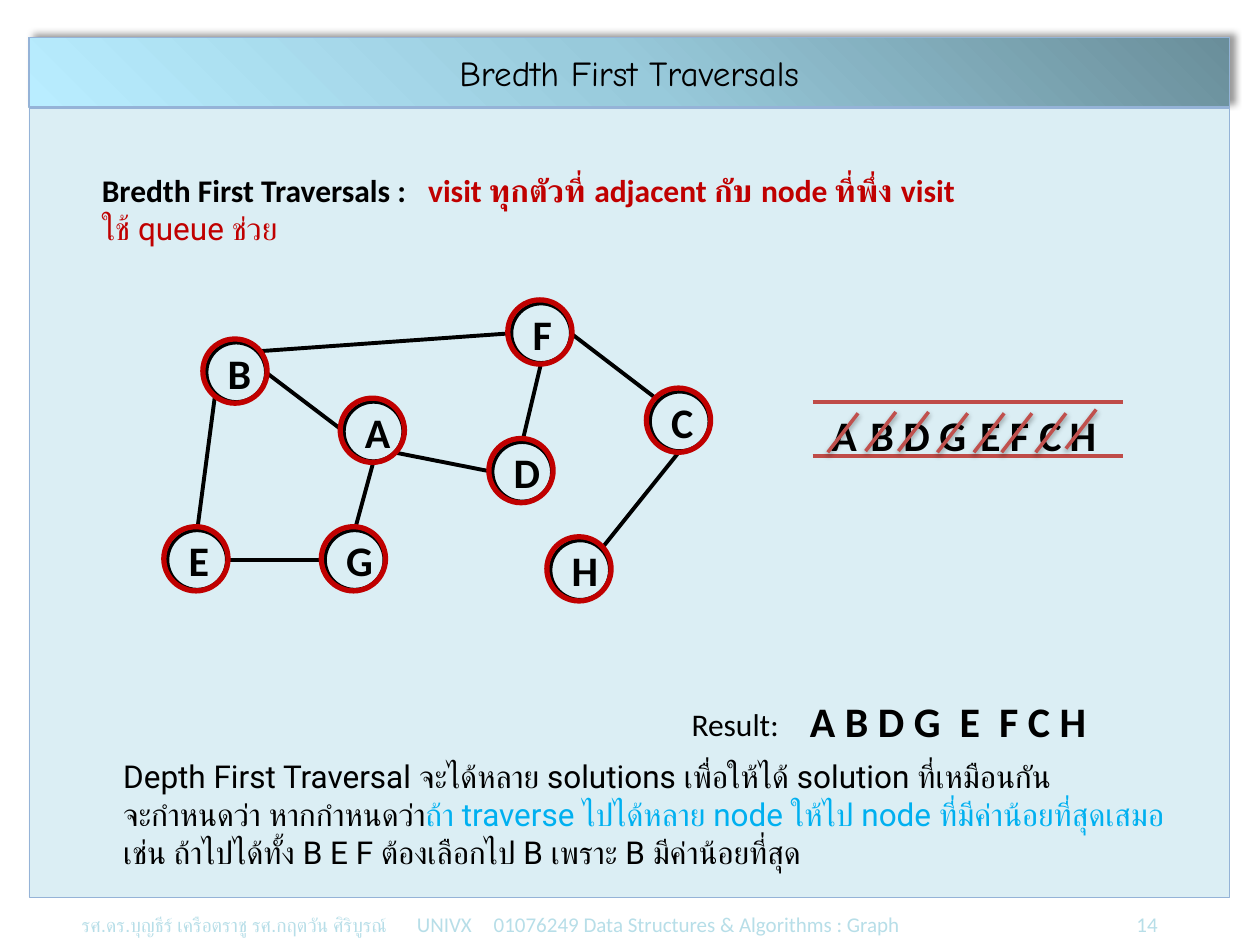
from copy import deepcopy
from math import cos, radians, sin

from lxml.etree import SubElement
from pptx import Presentation
from pptx.dml.color import RGBColor
from pptx.enum.shapes import MSO_CONNECTOR, MSO_SHAPE
from pptx.enum.text import MSO_ANCHOR, MSO_AUTO_SIZE, PP_ALIGN
from pptx.oxml.ns import qn
from pptx.util import Inches, Pt

BLACK, RED, SKY, PALE, STRIKE = "000000", "C00000", "00B0F0", "B7DEE8", "C0504D"
TITLE = "Bredth First Traversals"
TITLE_GRADIENT = [(0, "6A8E9A"), (0.5, "98CADB"), (1, "B9EDFF")]

NODE_SIZE, RING_SIZE, RING_OFFSET = 0.47, 0.51, -0.03
NODES = {
    "A": (2.73, 3.19), "G": (2.58, 4.21), "B": (1.64, 2.72), "E": (1.33, 4.21),
    "C": (5.16, 3.11), "H": (4.37, 4.29), "F": (4.06, 2.41), "D": (3.91, 3.51),
}
ANGLES = {"right": 0, "lower right": 45, "bottom": 90, "lower left": 135,
          "left": 180, "upper left": 225, "top": 270, "upper right": 315}
EDGES = [
    ("E", "top", "B", "lower left"), ("E", "right", "G", "left"),
    ("G", "top", "A", "bottom"), ("B", "right", "A", "left"),
    ("B", "upper right", "F", "left"), ("F", "right", "C", "upper left"),
    ("H", "upper right", "C", "bottom"), ("D", "top", "F", "bottom"),
    ("A", "lower right", "D", "left"),
]

QUEUE_RAILS = [3.19, 3.62]
QUEUE_TEXTS = [("A", 6.5, 0.48), ("B D G", 6.81, 0.97), ("E F", 7.68, 0.6),
               ("C", 8.15, 0.38), ("H", 8.39, 0.41)]
STRIKES = [(6.81, 3.28), (7.11, 3.27), (7.37, 3.27), (7.68, 3.28),
           (7.97, 3.28), (8.19, 3.28), (8.46, 3.28), (8.7, 3.25)]
STRIKE_RUN, STRIKE_DROP = -0.24, 0.31

HEADING = [
    [("Bredth First Traversals :\t", {"bold": True}),
     ("visit ทุกตัวที่ adjacent กับ node ที่พึ่ง visit", {"bold": True, "color": RED})],
    [("ใช้ queue ช่วย", {"font": "Roboto", "color": RED})],
]
NOTE = [
    [("Depth First Traversal จะได้หลาย solutions เพื่อให้ได้ solution ที่เหมือนกัน", {"font": "Roboto"})],
    [("จะกำหนดว่า หากกำหนดว่า", {"font": "Roboto"}),
     ("ถ้า traverse ไปได้หลาย node ให้ไป node ที่มีค่าน้อยที่สุดเสมอ ", {"font": "Roboto", "color": SKY}),
     ("เช่น ถ้าไปได้ทั้ง B E F ต้องเลือกไป B เพราะ B มีค่าน้อยที่สุด", {"font": "Roboto"})],
]
FOOTER = [[
    ("รศ.ดร.บุญธีร์ เครือตราชู รศ.กฤตวัน ศิริบูรณ์", {"size": 11, "font": "Arial", "color": PALE}),
    ("\tUNIVX\t01076249 Data Structures & Algorithms : Graph", {"size": 12, "color": PALE}),
    ("\t", {"size": 16, "color": PALE}),
    ("14", {"size": 12, "color": PALE}),
]]
LETTERS = {"size": 24, "bold": True}


def rgb(value):
    """Turn a hex string into a colour."""
    return RGBColor.from_string(value)


def add_run(paragraph, text, size=18, font="Calibri", color=BLACK, bold=False):
    """Append a formatted run to a paragraph."""
    run = paragraph.add_run()
    run.text = text
    run.font.size, run.font.name, run.font.bold = Pt(size), font, bold
    run.font.color.rgb = rgb(color)


def add_text(slide, place, paragraphs, wrap=True, tabs=()):
    """Add a text box holding paragraphs of (text, format) runs."""
    box = slide.shapes.add_textbox(*map(Inches, place))
    frame = box.text_frame
    frame.word_wrap = wrap
    frame.auto_size = MSO_AUTO_SIZE.SHAPE_TO_FIT_TEXT
    for index, runs in enumerate(paragraphs):
        paragraph = frame.add_paragraph() if index else frame.paragraphs[0]
        if tabs and not index:
            stops = SubElement(paragraph._p.get_or_add_pPr(), qn("a:tabLst"))
            for position, align in tabs:
                SubElement(stops, qn("a:tab"), pos=str(Inches(position)), algn=align)
        for text, style in runs:
            add_run(paragraph, text, **style)


def add_effects(shape, shadow=None):
    """Give a shape its own effect list, with a shadow if one is wanted."""
    effects = SubElement(shape.element.spPr, qn("a:effectLst"))
    if shadow:
        color, alpha, blur, distance, direction = shadow
        outer = SubElement(effects, qn("a:outerShdw"), blurRad=str(Pt(blur)), dist=str(Pt(distance)),
                           dir=str(direction * 60000), algn="ctr", rotWithShape="0")
        tint = SubElement(outer, qn("a:srgbClr"), val=color)
        SubElement(tint, qn("a:alpha"), val=str(alpha * 1000))


def add_line(slide, start, end, color, width, shadow=None):
    """Add a straight line between two points."""
    line = slide.shapes.add_connector(MSO_CONNECTOR.STRAIGHT, *map(Inches, (*start, *end)))
    line.line.color.rgb, line.line.width = rgb(color), Pt(width)
    add_effects(line, shadow)


def add_outline(slide, kind, place, color, width, fill=None):
    """Add a preset shape, hollow unless a fill is given."""
    shape = slide.shapes.add_shape(kind, *map(Inches, place))
    shape.shadow.inherit = False
    if fill:
        shape.fill.solid()
        shape.fill.fore_color.rgb = rgb(fill)
    else:
        shape.fill.background()
    shape.line.color.rgb, shape.line.width = rgb(color), Pt(width)
    return shape


def format_title(title):
    """Place the title bar and give it its gradient and shadow."""
    title.left, title.top, title.width, title.height = map(Inches, (0.23, 0.3, 9.53, 0.55))
    title.fill.gradient()
    title.fill.gradient_angle = 225
    stops = title.element.spPr.find(".//" + qn("a:gsLst"))
    stops.append(deepcopy(stops[0]))
    for stop, (position, color) in zip(title.fill.gradient_stops, TITLE_GRADIENT):
        stop.position, stop.color.rgb = position, rgb(color)
    title.line.color.rgb, title.line.width = rgb("95B3D7"), Pt(0.75)
    add_effects(title, (BLACK, 40, 4, 3, 315))
    title.text_frame.vertical_anchor = MSO_ANCHOR.MIDDLE
    paragraph = title.text_frame.paragraphs[0]
    paragraph.alignment = PP_ALIGN.CENTER
    add_run(paragraph, TITLE, size=20, font="Comic Neue")


def rim_point(node, side):
    """Find the point on a node's rim at a named side."""
    radius, angle = NODE_SIZE / 2, radians(ANGLES[side])
    left, top = NODES[node]
    return left + radius * (1 + cos(angle)), top + radius * (1 + sin(angle))


def add_graph(slide):
    """Draw the nodes, their edges and the rings of visited nodes."""
    for letter, (left, top) in NODES.items():
        node = add_outline(slide, MSO_SHAPE.OVAL, (left, top, NODE_SIZE, NODE_SIZE), BLACK, 2)
        node.text_frame.vertical_anchor = MSO_ANCHOR.MIDDLE
        paragraph = node.text_frame.paragraphs[0]
        paragraph.alignment = PP_ALIGN.CENTER
        add_run(paragraph, letter, **LETTERS)
    for first, first_side, second, second_side in EDGES:
        add_line(slide, rim_point(first, first_side), rim_point(second, second_side), BLACK, 2.25)
    for left, top in NODES.values():
        add_outline(slide, MSO_SHAPE.OVAL,
                    (left + RING_OFFSET, top + RING_OFFSET, RING_SIZE, RING_SIZE), RED, 3)


def add_queue(slide):
    """Draw the queue with its struck-out letters."""
    for height in QUEUE_RAILS:
        add_line(slide, (6.45, height), (8.91, height), "BF4C48", 2.25)
    for letters, left, width in QUEUE_TEXTS:
        add_text(slide, (left, 3.2, width, 0.5), [[(letters, LETTERS)]], wrap=False)
    for x, y in STRIKES:
        add_line(slide, (x, y), (x + STRIKE_RUN, y + STRIKE_DROP), STRIKE, 2, (BLACK, 38, 3.1, 1.6, 90))


def main():
    """Build the slide and save it."""
    deck = Presentation()
    deck.slide_width, deck.slide_height = Inches(10), Inches(7.5)
    slide = deck.slides.add_slide(deck.slide_layouts[5])
    format_title(slide.shapes.title)
    add_outline(slide, MSO_SHAPE.RECTANGLE, (0.23, 0.86, 9.53, 6.26), "95B3D7", 0.25, "DBEEF4")
    add_text(slide, (0.55, 7.13, 8.98, 0.37), FOOTER, tabs=[(2.66, "l"), (3.27, "l"), (8.54, "r")])
    add_text(slide, (0.71, 1.31, 7.27, 0.71), HEADING, wrap=False, tabs=[(2.59, "l")])
    add_graph(slide)
    add_queue(slide)
    add_text(slide, (5.39, 5.55, 1.56, 0.57), [[("Result:", {})]])
    add_text(slide, (6.33, 5.47, 2.42, 0.5), [[("A B D G  E  F C H", LETTERS)]])
    add_text(slide, (0.88, 5.96, 8.54, 1.01), NOTE)
    deck.save("out.pptx")


if __name__ == "__main__":
    main()
